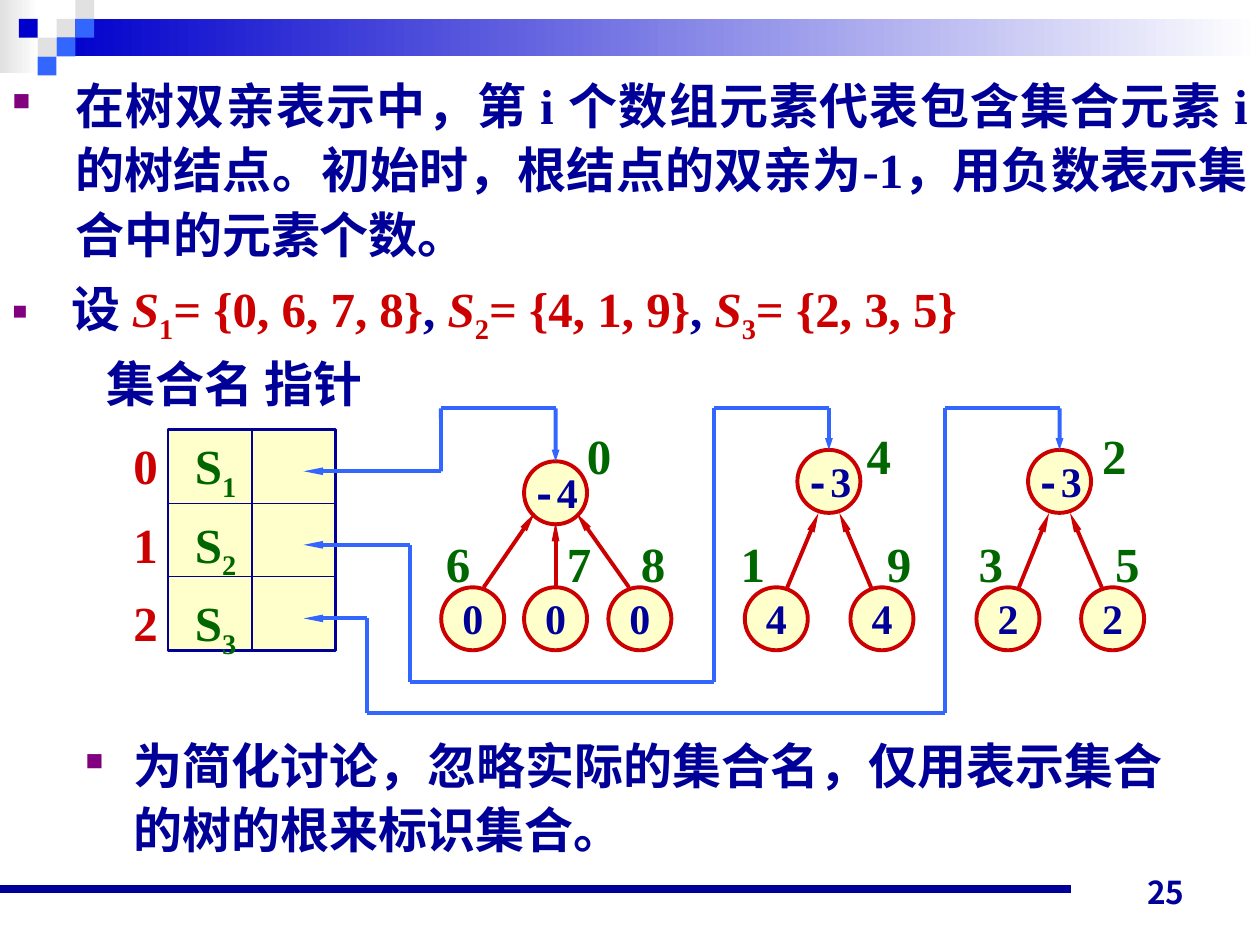
from itertools import pairwise

from lxml import etree
from pptx import Presentation
from pptx.dml.color import RGBColor
from pptx.enum.shapes import MSO_CONNECTOR, MSO_SHAPE
from pptx.enum.text import MSO_ANCHOR, MSO_AUTO_SIZE, PP_ALIGN
from pptx.oxml.ns import qn
from pptx.util import Cm, Pt

RECT, OVAL = MSO_SHAPE.RECTANGLE, MSO_SHAPE.OVAL
STRAIGHT = MSO_CONNECTOR.STRAIGHT
TOP, BOTTOM = MSO_ANCHOR.TOP, MSO_ANCHOR.BOTTOM
LEFT, RIGHT, JUSTIFY = PP_ALIGN.LEFT, PP_ALIGN.RIGHT, PP_ALIGN.JUSTIFY
NO_AUTOFIT = MSO_AUTO_SIZE.NONE

NAVY = RGBColor(0x00, 0x00, 0x99)
DEEP_BLUE = RGBColor(0x00, 0x00, 0xCC)
BLUE = RGBColor(0x33, 0x66, 0xFF)
RED = RGBColor(0xCC, 0x00, 0x00)
GREEN = RGBColor(0x00, 0x66, 0x00)
PURPLE = RGBColor(0x80, 0x00, 0x80)
CREAM = RGBColor(0xFF, 0xFF, 0xCC)
GREY = RGBColor(0xE1, 0xE1, 0xE1)
WHITE = RGBColor(0xFF, 0xFF, 0xFF)

SERIF, MONO, SANS, CJK = "Times New Roman", "Courier New", "Arial", "Noto Sans CJK SC"

NODE = 1.27
LEAF_TOP = 11.84
POINTER_TOP = 8.23
TABLE_LEFT, TABLE_TOP, TABLE_WIDTH, TABLE_HEIGHT = 3.39, 8.66, 3.38, 4.45
ROW = TABLE_HEIGHT / 3

TREES = [
    {"x": 11.2, "top": 9.3, "size": "4", "index": ("0", 11.58), "reach": 0.42,
     "turn": 8.89, "low": None,
     "leaves": [(9.53, "0", "6", 8.74), (11.2, "0", "7", 11.18), (12.9, "0", "8", 12.67)]},
    {"x": 16.71, "top": 9.07, "size": "3", "index": ("4", 17.22), "reach": 0.21,
     "turn": 8.26, "low": 13.74,
     "leaves": [(15.65, "4", "1", 14.68), (17.78, "4", "9", 17.63)]},
    {"x": 21.36, "top": 9.07, "size": "3", "index": ("2", 21.97), "reach": 0.21,
     "turn": 7.39, "low": 14.38,
     "leaves": [(20.32, "2", "3", 19.48), (22.43, "2", "5", 22.23)]},
]


def write_text(paragraph, text, *, size=28, color=NAVY, font=SERIF, italic=False, baseline=0):
    run = paragraph.add_run()
    run.text = text
    run.font.size = Pt(size)
    run.font.name = font
    run.font.bold = True
    run.font.italic = italic
    run.font.color.rgb = color
    properties = run._r.get_or_add_rPr()
    etree.SubElement(properties, qn("a:ea")).set("typeface", CJK)
    if baseline:
        properties.set("baseline", str(baseline * 1000))


class Sheet:
    def __init__(self, slide):
        self.slide = slide
        self.shapes = slide.shapes

    def shape(self, kind, left, top, width, height, fill, line=None, weight=1.5, fade=False):
        shape = self.shapes.add_shape(kind, Cm(left), Cm(top), Cm(width), Cm(height))
        shape.shadow.inherit = False
        if fade:
            shape.fill.gradient()
            shape.fill.gradient_angle = 0
            for stop, color, position in zip(shape.fill.gradient_stops, (fill, WHITE), (0, 1)):
                stop.color.rgb = color
                stop.position = position
        else:
            shape.fill.solid()
            shape.fill.fore_color.rgb = fill
        if line is None:
            shape.line.fill.background()
        else:
            shape.line.color.rgb = line
            shape.line.width = Pt(weight)
        return shape

    def node(self, center, top):
        return self.shape(OVAL, center - NODE / 2, top, NODE, NODE, CREAM, RED, 2.25)

    def line(self, start, end, color, weight=2.25, head=None):
        line = self.shapes.add_connector(STRAIGHT, *map(Cm, start + end))
        line.line.color.rgb = color
        line.line.width = Pt(weight)
        properties = line._element.spPr
        if head:
            tail = etree.SubElement(properties.get_or_add_ln(), qn("a:tailEnd"))
            for key, value in zip(("type", "w", "len"), ("triangle", "sm", head)):
                tail.set(key, value)
        etree.SubElement(properties, qn("a:effectLst"))
        return line

    def box(self, left, top, width, height, anchor=TOP):
        frame = self.shapes.add_textbox(Cm(left), Cm(top), Cm(width), Cm(height)).text_frame
        frame.word_wrap = True
        frame.vertical_anchor = anchor
        return frame

    def label(self, left, top, width, height, *segments, anchor=TOP, align=LEFT):
        paragraph = self.box(left, top, width, height, anchor).paragraphs[0]
        paragraph.alignment = align
        for text, style in segments:
            write_text(paragraph, text, **style)

    def bullet(self, paragraph, segments, indent, spacing, align=LEFT):
        properties = paragraph._p.get_or_add_pPr()
        properties.set("marL", str(Cm(indent)))
        properties.set("indent", str(-Cm(indent)))
        color = etree.SubElement(properties, qn("a:buClr"))
        etree.SubElement(color, qn("a:srgbClr")).set("val", str(PURPLE))
        etree.SubElement(properties, qn("a:buSzPct")).set("val", "50000")
        etree.SubElement(properties, qn("a:buChar")).set("char", "■")
        paragraph.alignment = align
        paragraph.line_spacing = spacing
        paragraph.space_before = Pt(0)
        for text, style in segments:
            write_text(paragraph, text, **style)


def draw_banner(sheet):
    sheet.shape(RECT, 0, 0, 0.79, 1.47, GREY, fade=True)
    sheet.shape(RECT, 1.14, 0.38, 24.26, 0.76, DEEP_BLUE, fade=True)
    step = 0.38
    tiles = [(3, 1, GREY), (4, 0, GREY), (4, 1, BLUE), (2, 2, GREY),
             (1, 1, DEEP_BLUE), (3, 2, BLUE), (2, 3, BLUE)]
    for column, row, color in tiles:
        sheet.shape(RECT, column * step, row * step, step, step, color)
    sheet.line((0, 17.93), (21.59, 17.93), NAVY, 4.5)
    sheet.label(18.21, 17.22, 5.92, 1.27, ("25", {"size": 18, "font": "Noto Sans CJK JP"}),
                anchor=BOTTOM, align=RIGHT)


def write_points(sheet, sets_body):
    intro = ("在树双亲表示中，第 i 个数组元素代表包含集合元素 i 的树结点。"
             "初始时，根结点的双亲为-1，用负数表示集合中的元素个数。")
    sheet.bullet(sheet.box(0, 1.27, 25.4, 4.11).paragraphs[0], [(intro, {})], 1.27, 1.1, JUSTIFY)

    sets_body.left, sets_body.top, sets_body.width, sets_body.height = map(Cm, (0, 5.41, 23.01, 1.6))
    sets_body.text_frame.auto_size = NO_AUTOFIT
    segments = [(" 设 ", {})]
    for number, members in enumerate(("0, 6, 7, 8", "4, 1, 9", "2, 3, 5"), 1):
        if number > 1:
            segments.append((", ", {}))
        segments += [("S", {"color": RED, "italic": True}),
                     (str(number), {"color": RED, "baseline": -25}),
                     (f"= {{{members}}}", {"color": RED})]
    sheet.bullet(sets_body.text_frame.paragraphs[0], segments, 0.97, 1.05)

    closing = "为简化讨论，忽略实际的集合名，仅用表示集合的树的根来标识集合。"
    sheet.bullet(sheet.box(1.47, 14.58, 22.23, 3.38).paragraphs[0],
                 [(closing, {"font": SANS})], 0.97, 1.1, JUSTIFY)


def draw_set_table(sheet):
    right, bottom = TABLE_LEFT + TABLE_WIDTH, TABLE_TOP + TABLE_HEIGHT
    middle = TABLE_LEFT + TABLE_WIDTH / 2
    sheet.shape(RECT, TABLE_LEFT, TABLE_TOP, TABLE_WIDTH, TABLE_HEIGHT, CREAM, NAVY)
    sheet.label(1.9, 7.01, 6.53, 1.45, ("集合名 指针", {"font": CJK}))
    sheet.line((middle, TABLE_TOP), (middle, bottom), NAVY, 0.75)
    for y in (TABLE_TOP + ROW, TABLE_TOP + 2 * ROW):
        sheet.line((TABLE_LEFT, y), (right, y), NAVY, 0.75)

    names = sheet.box(2.44, 8.53, 2.9, 4.42)
    for index in range(3):
        paragraph = names.add_paragraph() if index else names.paragraphs[0]
        tabs = etree.SubElement(paragraph._p.get_or_add_pPr(), qn("a:tabLst"))
        tab = etree.SubElement(tabs, qn("a:tab"))
        tab.set("pos", str(Cm(1.24)))
        tab.set("algn", "l")
        paragraph.line_spacing = 1.1
        paragraph.space_before = Pt(2.8 if index else 0)
        write_text(paragraph, f"{index}\t", color=RED)
        write_text(paragraph, "S", color=GREEN)
        write_text(paragraph, str(index + 1), color=GREEN, baseline=-25)


def draw_tree(sheet, row, tree):
    x, top = tree["x"], tree["top"]
    root = sheet.node(x, top)
    sheet.label(x - 0.73, top - 0.02, 1.55, 1.27,
                ("-", {"size": 24, "font": MONO}), (tree["size"], {"size": 24}))
    index, index_left = tree["index"]
    sheet.label(index_left, 8.46, 1.07, 1.45, (index, {"color": GREEN}))

    for center, parent, element, element_left in tree["leaves"]:
        sheet.node(center, LEAF_TOP)
        side = (x > center) - (x < center)
        sheet.line((center + side * 0.22, LEAF_TOP),
                   (x - side * tree["reach"], 10.34 if side else 10.52), RED, head="lg")
        sheet.label(center - 0.46, 11.81, 1.07, 1.27, (parent, {"size": 24}))
        sheet.label(element_left, 10.64, 1.07, 1.45, (element, {"color": GREEN}))

    start = (tree["turn"], TABLE_TOP + 0.84 + row * ROW)
    riser = x - 2.31
    route = [start]
    if tree["low"]:
        route += [(tree["turn"], tree["low"]), (riser, tree["low"])]
    route += [(riser, POINTER_TOP), (x, POINTER_TOP)]
    for corner, following in pairwise(route):
        sheet.line(corner, following, BLUE)
    sheet.line(start, (6.12, start[1]), BLUE, head="lg")
    sheet.line((x, POINTER_TOP), (x, top), BLUE, head="med").end_connect(root, 0)


def main():
    deck = Presentation()
    deck.slide_width, deck.slide_height = Cm(25.4), Cm(19.05)
    slide = deck.slides.add_slide(deck.slide_layouts[1])
    title = slide.shapes.title._element
    title.getparent().remove(title)
    sheet = Sheet(slide)
    draw_banner(sheet)
    write_points(sheet, slide.placeholders[1])
    draw_set_table(sheet)
    for row, tree in enumerate(TREES):
        draw_tree(sheet, row, tree)
    deck.save("out.pptx")


if __name__ == "__main__":
    main()
